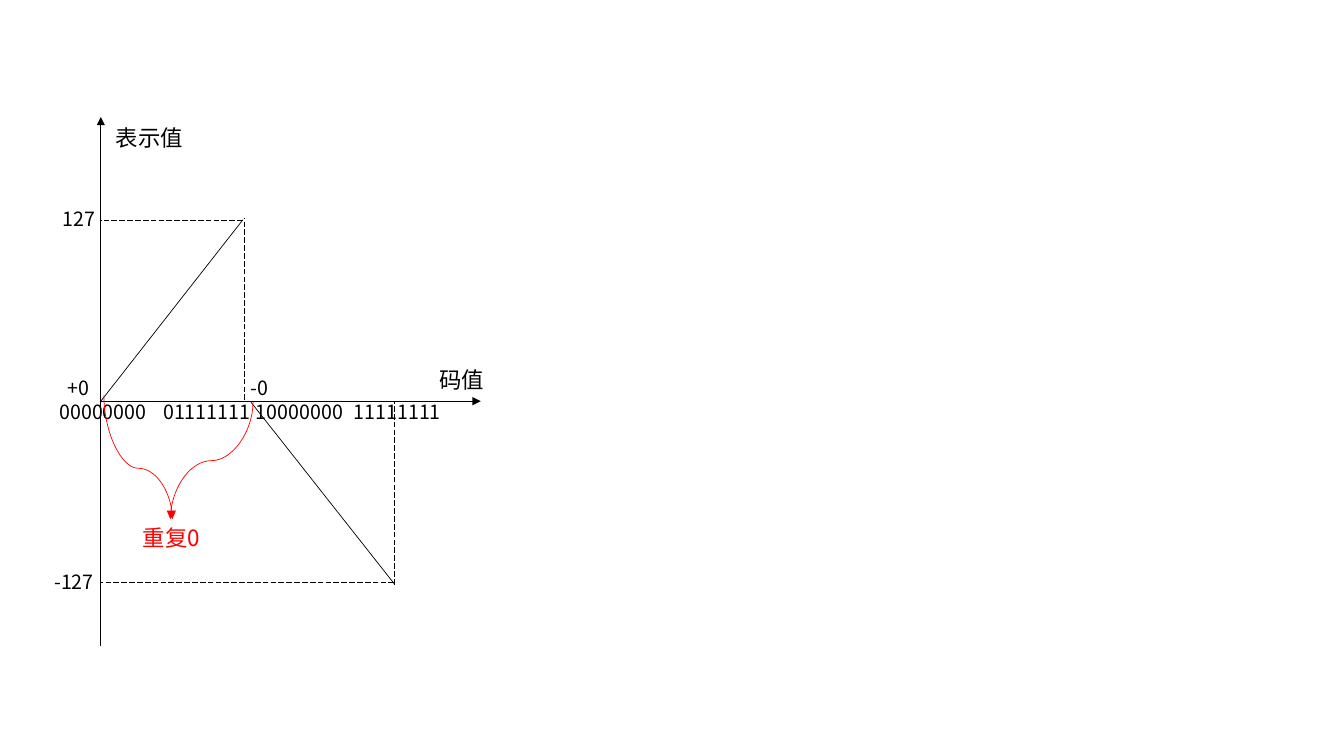
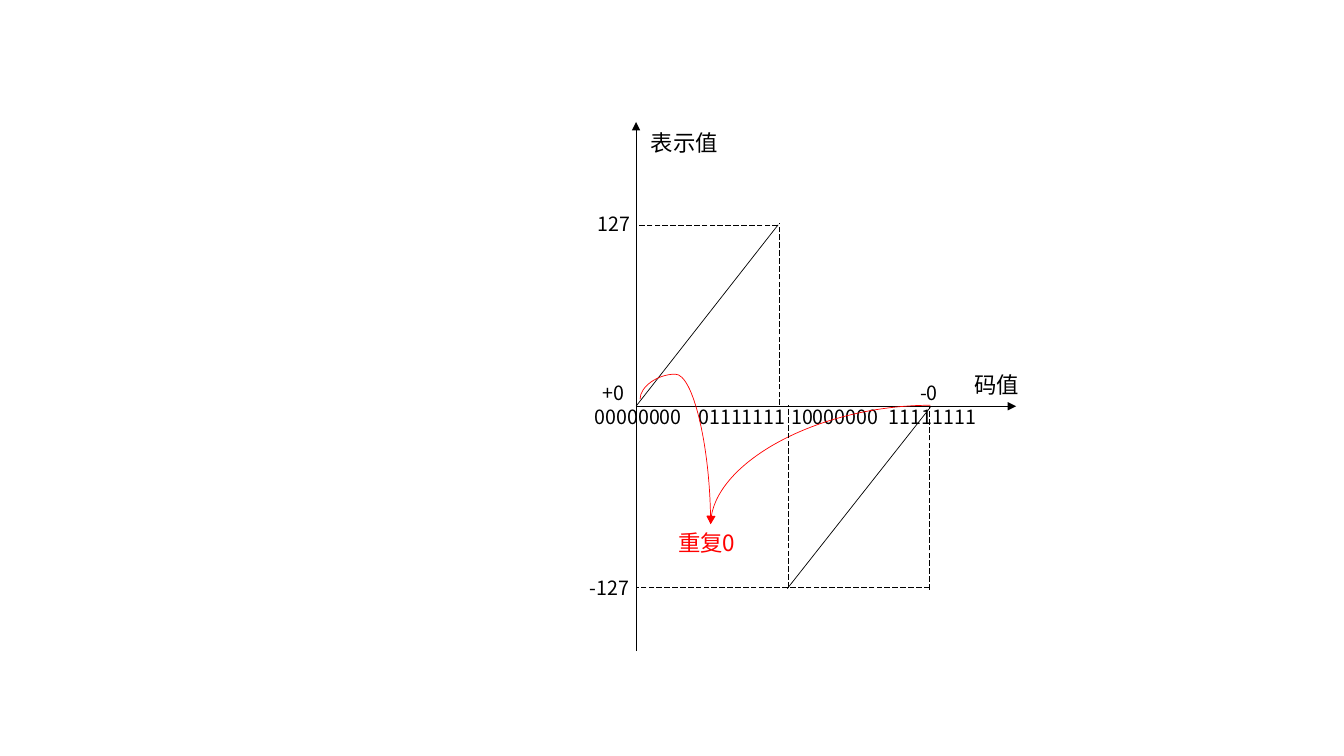
"""Two plots of signed 8-bit codes, each marking the repeated zero."""
from dataclasses import dataclass

from lxml import etree
from pptx import Presentation
from pptx.dml.color import RGBColor
from pptx.enum.dml import MSO_LINE
from pptx.enum.shapes import MSO_CONNECTOR
from pptx.enum.text import MSO_AUTO_SIZE
from pptx.oxml.ns import qn
from pptx.util import Inches, Pt

STRAIGHT, CURVE = MSO_CONNECTOR.STRAIGHT, MSO_CONNECTOR.CURVE
LONG_DASH = MSO_LINE.LONG_DASH
FIT_SHAPE = MSO_AUTO_SIZE.SHAPE_TO_FIT_TEXT
COLUMNS, ROWS, CELL = 133.33, 75, 0.1
BLANK_LAYOUT = 6
DEGREE = 60000


@dataclass(frozen=True)
class Theme:
    """Colours, font and sizes of the plots."""
    ink: RGBColor = RGBColor(0, 0, 0)
    accent: RGBColor = RGBColor(255, 0, 0)
    font: str = "Noto Sans CJK SC"
    title_size: int = 16
    tick_size: int = 14
    title_height: float = 3.7
    tick_height: float = 3.4
    line_width: float = 0.5


def cells(count):
    """Turn grid cells into a length."""
    return Inches(count * CELL)


def write(frame, text, *, font, size, color):
    """Put one formatted run into a text frame."""
    para = frame.paragraphs[0]
    span = para.add_run()
    span.text = text
    span.font.name = font
    span.font.size = Pt(size)
    span.font.color.rgb = color
    east_asian = etree.SubElement(span.font._element, qn("a:ea"))
    east_asian.set("typeface", font)


class Plot:
    """Draws on one slide in grid cells counted from the plot's origin."""

    def __init__(self, deck, theme, origin):
        """Start a slide whose axes cross at origin."""
        self.theme = theme
        self.origin = origin
        self.page = deck.slides.add_slide(deck.slide_layouts[BLANK_LAYOUT])

    def place(self, column, row):
        """Return the slide position of a plot point."""
        return cells(self.origin[0] + column), cells(self.origin[1] + row)

    def connect(self, kind, start, end, color, arrow=False, dash=None):
        """Add a styled connector."""
        line = self.page.shapes.add_connector(kind, *self.place(*start), *self.place(*end))
        line.line.width = Pt(self.theme.line_width)
        line.line.color.rgb = color
        if dash:
            line.line.dash_style = dash
        properties = line.element.spPr
        if arrow:
            etree.SubElement(properties.find(qn("a:ln")), qn("a:tailEnd"), type="triangle")
        etree.SubElement(properties, qn("a:effectLst"))
        return line

    def line(self, start, end, **style):
        """Add a straight line in ink."""
        self.connect(STRAIGHT, start, end, self.theme.ink, **style)

    def curve(self, start, end, bend=None):
        """Add a red arrow that leaves vertically, or horizontally if it has no bend."""
        across, down = end[0] - start[0], end[1] - start[1]
        if bend is None:
            width, height, turn, flip = abs(across), down, 180, "flipV"
        else:
            width, height = down, abs(across)
            turn, flip = (270, "flipH") if across > 0 else (90, None)
        left = (start[0] + end[0] - width) / 2
        top = (start[1] + end[1] - height) / 2
        arrow = self.connect(CURVE, (left, top), (left + width, top + height),
                             self.theme.accent, arrow=True)
        frame = arrow.element.spPr.find(qn("a:xfrm"))
        frame.set("rot", str(turn * DEGREE))
        if flip:
            frame.set(flip, "1")
        geometry = arrow.element.spPr.find(qn("a:prstGeom"))
        if bend is None:
            geometry.set("prst", "curvedConnector2")
        else:
            guides = geometry.find(qn("a:avLst"))
            if guides is None:
                guides = etree.SubElement(geometry, qn("a:avLst"))
            etree.SubElement(guides, qn("a:gd"), name="adj1",
                             fmla=f"val {round(bend * 100000)}")

    def label(self, text, column, row, width, height, size, color):
        """Add a text box."""
        box = self.page.shapes.add_textbox(*self.place(column, row), cells(width), cells(height))
        box.text_frame.word_wrap = True
        box.text_frame.auto_size = FIT_SHAPE
        write(box.text_frame, text, font=self.theme.font, size=size, color=color)

    def title(self, text, column, row, width, color=None):
        """Add a large label."""
        self.label(text, column, row, width, self.theme.title_height,
                   self.theme.title_size, color or self.theme.ink)

    def tick(self, text, column, row, width=6):
        """Add a small label."""
        self.label(text, column, row, width, self.theme.tick_height,
                   self.theme.tick_size, self.theme.ink)

    def axes(self):
        """Draw the axes, their labels and the positive half."""
        self.line((0, 24.3), (0, -28.2), arrow=True)
        self.line((0, 0), (37.7, 0), arrow=True)
        self.title("码值", 32.6, -4, 7.3)
        self.title("表示值", 0.5, -28, 9.6)
        codes = {"00000000": -5.1, "01111111": 5.2, "10000000": 14.4, "11111111": 24.1}
        for code, column in codes.items():
            self.tick(code, column, -0.6, 10.8)
        self.tick("+0", -4.3, -3)
        self.tick("127", -4.8, -19.8)
        self.tick("-127", -5.6, 16.3, 6.6)
        self.line((0, 0), (14.1, -18))
        self.line((14.2, -0.1), (14.2, -18.2), dash=LONG_DASH)
        self.line((14.1, -17.9), (0, -17.9), dash=LONG_DASH)

    def negative_half(self, start, end, zero_column):
        """Draw the negative half and its guides."""
        self.line(start, end)
        self.line((29.1, 18.2), (29.1, 0.1), dash=LONG_DASH)
        self.line((29.1, 18), (0, 18), dash=LONG_DASH)
        self.tick("-0", zero_column, -3)

    def repeated_zero(self):
        """Name the repeated zero."""
        self.title("重复0", 3.2, 11.7, 8.3, self.theme.accent)


def sign_magnitude(deck, theme):
    """Build the plot whose negative half falls."""
    plot = Plot(deck, theme, (10, 39.8))
    plot.axes()
    plot.negative_half((29.1, 18.1), (14.9, 0.1), 13.9)
    plot.curve((0.3, -0.6), (7.1, 11.7), bend=0.59)
    plot.curve((15.1, 0.1), (6.9, 11.7), bend=0.5)
    plot.repeated_zero()


def ones_complement(deck, theme):
    """Build the plot whose negative half rises."""
    plot = Plot(deck, theme, (63.1, 40.3))
    plot.axes()
    plot.negative_half((29.2, 0.1), (15, 18.1), 27.2)
    plot.curve((0.4, -0.7), (7.4, 11.7), bend=-0.2)
    plot.curve((29.2, -0.1), (7.4, 11.7))
    plot.repeated_zero()
    plot.line((15.1, 18), (15.1, -0.1), dash=LONG_DASH)


def main():
    """Build and save the deck."""
    deck = Presentation()
    deck.slide_width, deck.slide_height = cells(COLUMNS), cells(ROWS)
    theme = Theme()
    sign_magnitude(deck, theme)
    ones_complement(deck, theme)
    deck.save("out.pptx")


if __name__ == "__main__":
    main()
